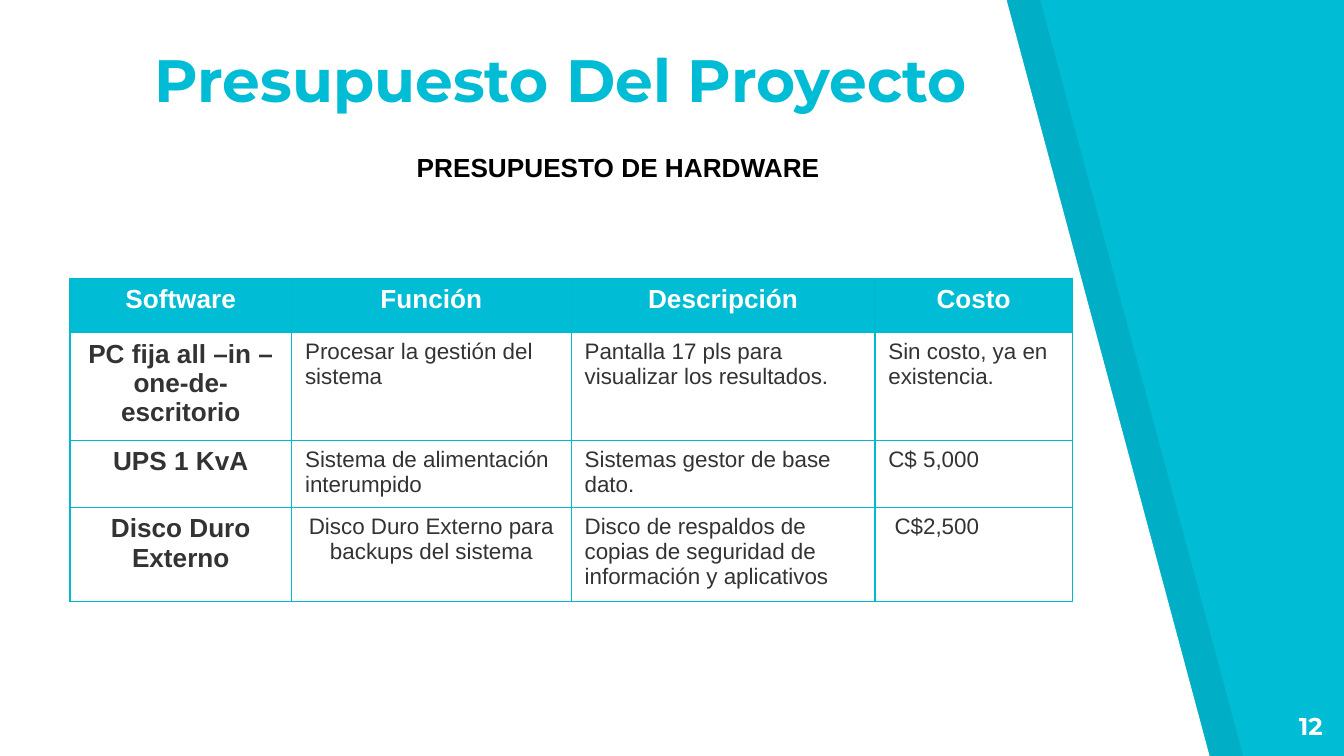
"""Build the hardware budget slide: title, cost table and slanted cyan side band."""
from lxml.etree import SubElement
from pptx import Presentation
from pptx.dml.color import RGBColor
from pptx.enum.text import MSO_ANCHOR as Anchor, PP_ALIGN as Align
from pptx.oxml.ns import qn
from pptx.util import Inches, Pt

CYAN = RGBColor(0x00, 0xBC, 0xD4)
GRID_CYAN = RGBColor(0x00, 0xB8, 0xCF)
INK = RGBColor(0x33, 0x33, 0x33)
BLACK = RGBColor(0x00, 0x00, 0x00)
WHITE = RGBColor(0xFF, 0xFF, 0xFF)

deck = Presentation()
deck.slide_width, deck.slide_height = Inches(10), Inches(5.625)
slide = deck.slides.add_slide(deck.slide_layouts[6])
slide.background.fill.solid()
slide.background.fill.fore_color.rgb = CYAN


def share(x, y):
    """Turn percentages of the slide's width and height into lengths."""
    return int(deck.slide_width * x / 100), int(deck.slide_height * y / 100)


def write(frame, text, align, look):
    """Put one formatted paragraph into a text frame."""
    paragraph = frame.paragraphs[0]
    paragraph.alignment = align
    run = paragraph.add_run()
    run.text = text
    for key, value in look.items():
        if key == "color":
            run.font.color.rgb = value
        else:
            setattr(run.font, key, value)


for left, color, opacity in [(2.5, BLACK, 7), (0, WHITE, 100)]:
    outline = slide.shapes.build_freeform(*share(left, 0))
    outline.add_line_segments(
        [share(left, 100), share(left + 90, 100), share(left + 74.9, 0)], close=True)
    panel = outline.convert_to_shape()
    panel.shadow.inherit = False
    panel.line.fill.background()
    panel.fill.solid()
    panel.fill.fore_color.rgb = color
    if opacity < 100:
        tint = panel.fill._xPr.find(qn("a:solidFill"))[0]
        SubElement(tint, qn("a:alpha"), val=str(opacity * 1000))

montserrat = {"name": "Montserrat", "bold": True}
arial = {"name": "Arial", "bold": True, "size": Pt(14)}
captions = [
    ("Presupuesto Del Proyecto", (10.5, 3), (63.8, 13.9), 0.1, Anchor.BOTTOM, Align.LEFT,
     {**montserrat, "size": Pt(32), "color": CYAN}),
    ("12", (93.4, 92.3), (6, 7.6), 0.1, Anchor.TOP, Align.RIGHT,
     {**montserrat, "size": Pt(13), "color": WHITE}),
    ("PRESUPUESTO DE HARDWARE", (21, 19.2), (50, 6), 0.05, Anchor.TOP, Align.CENTER,
     {**arial, "color": BLACK}),
]
for text, corner, size, inset, anchor, align, look in captions:
    frame = slide.shapes.add_textbox(*share(*corner), *share(*size)).text_frame
    layout = {"word_wrap": True, "vertical_anchor": anchor,
              "margin_left": Inches(0.1), "margin_right": Inches(0.1),
              "margin_top": Inches(inset), "margin_bottom": Inches(inset)}
    for key, value in layout.items():
        setattr(frame, key, value)
    write(frame, text, align, look)

budget = [
    ("Software", "Función", "Descripción", "Costo"),
    ("PC fija all –in – one-de-escritorio", "Procesar la gestión del sistema",
     "Pantalla 17 pls para visualizar los resultados.", "Sin costo, ya en existencia."),
    ("UPS 1 KvA", "Sistema de alimentación interumpido",
     "Sistemas gestor de base dato.", "C$ 5,000"),
    ("Disco Duro Externo", "Disco Duro Externo para backups del sistema",
     "Disco de respaldos de copias de seguridad de información y aplicativos", " C$2,500"),
]
column_shares = [16.5, 20.8, 22.6, 14.7]
row_shares = [7.2, 13.5, 8.4, 11.7]
table = slide.shapes.add_table(
    len(row_shares), len(column_shares), *share(5.2, 36.8),
    *share(sum(column_shares), sum(row_shares))).table
for column, width in zip(table.columns, column_shares):
    column.width = share(width, 0)[0]
for row, height in zip(table.rows, row_shares):
    row.height = share(0, height)[1]

for r, entries in enumerate(budget):
    for c, entry in enumerate(entries):
        cell = table.cell(r, c)
        properties = cell._tc.get_or_add_tcPr()
        for side in ("lnL", "lnR", "lnT", "lnB"):
            edge = SubElement(properties, qn(f"a:{side}"), w=str(Pt(0.75)))
            SubElement(SubElement(edge, qn("a:solidFill")), qn("a:srgbClr"),
                       val=str(GRID_CYAN))
        if r == 0:
            cell.fill.solid()
            cell.fill.fore_color.rgb = CYAN
        else:
            cell.fill.background()
        heading = r == 0 or c == 0
        centered = heading or (r, c) == (3, 1)
        look = {**arial, "bold": heading, "size": Pt(14 if heading else 12),
                "color": WHITE if r == 0 else INK}
        write(cell.text_frame, entry, Align.CENTER if centered else Align.LEFT, look)

deck.save("out.pptx")
